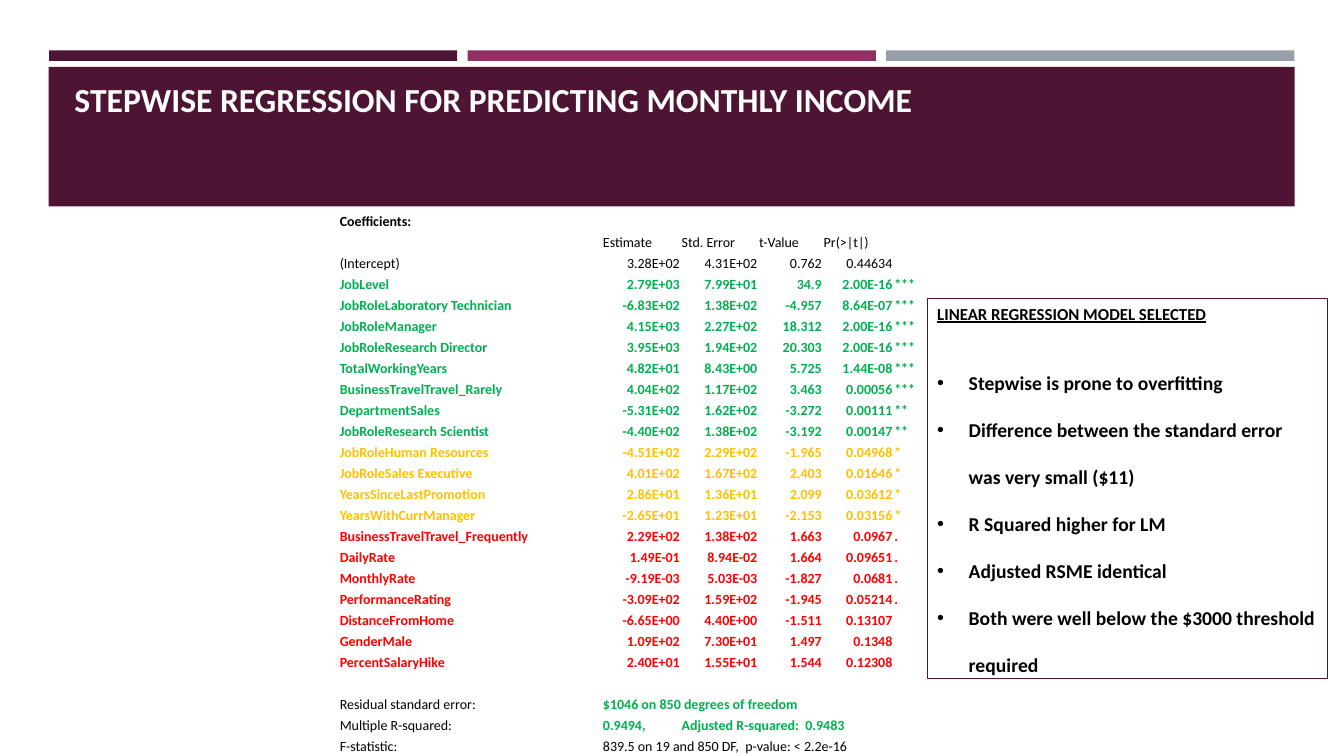
from lxml import etree
from pptx import Presentation
from pptx.dml.color import RGBColor
from pptx.enum import shapes, text
from pptx.oxml import ns
from pptx.util import Pt

FONT = "Calibri"
PLUM, BERRY, GREY = "4D1434", "903163", "969FA7"
BLACK, WHITE = "000000", "FFFFFF"
GREEN, AMBER, RED = "00B050", "FFC000", "FF0000"

HEADERS = ["", "Estimate", "Std. Error", "t-Value", "Pr(>|t|)"]
COLUMN_WIDTHS = [188, 56.2, 55.4, 46.1, 50.4, 24.4]
ROW_HEIGHT = 15.04

# Term, estimate, standard error, t-value, p-value, significance mark
INTERCEPT = ["(Intercept)", "3.28E+02", "4.31E+02", "0.762", "0.44634"]
STRONG = [
    ["JobLevel", "2.79E+03", "7.99E+01", "34.9", "2.00E-16", "***"],
    ["JobRoleLaboratory Technician", "-6.83E+02", "1.38E+02", "-4.957", "8.64E-07", "***"],
    ["JobRoleManager", "4.15E+03", "2.27E+02", "18.312", "2.00E-16", "***"],
    ["JobRoleResearch Director", "3.95E+03", "1.94E+02", "20.303", "2.00E-16", "***"],
    ["TotalWorkingYears", "4.82E+01", "8.43E+00", "5.725", "1.44E-08", "***"],
    ["BusinessTravelTravel_Rarely", "4.04E+02", "1.17E+02", "3.463", "0.00056", "***"],
    ["DepartmentSales", "-5.31E+02", "1.62E+02", "-3.272", "0.00111", "**"],
    ["JobRoleResearch Scientist", "-4.40E+02", "1.38E+02", "-3.192", "0.00147", "**"],
]
MODERATE = [
    ["JobRoleHuman Resources", "-4.51E+02", "2.29E+02", "-1.965", "0.04968", "*"],
    ["JobRoleSales Executive", "4.01E+02", "1.67E+02", "2.403", "0.01646", "*"],
    ["YearsSinceLastPromotion", "2.86E+01", "1.36E+01", "2.099", "0.03612", "*"],
    ["YearsWithCurrManager", "-2.65E+01", "1.23E+01", "-2.153", "0.03156", "*"],
]
WEAK = [
    ["BusinessTravelTravel_Frequently", "2.29E+02", "1.38E+02", "1.663", "0.0967", "."],
    ["DailyRate", "1.49E-01", "8.94E-02", "1.664", "0.09651", "."],
    ["MonthlyRate", "-9.19E-03", "5.03E-03", "-1.827", "0.0681", "."],
    ["PerformanceRating", "-3.09E+02", "1.59E+02", "-1.945", "0.05214", "."],
    ["DistanceFromHome", "-6.65E+00", "4.40E+00", "-1.511", "0.13107"],
    ["GenderMale", "1.09E+02", "7.30E+01", "1.497", "0.1348"],
    ["PercentSalaryHike", "2.40E+01", "1.55E+01", "1.544", "0.12308"],
]
# Label, then (text, first column, last column) for each value
FIT_STATISTICS = [
    ("Residual standard error:", GREEN, [("$1046 on 850 degrees of freedom", 1, 4)]),
    ("Multiple R-squared:", GREEN,
     [("0.9494,", 1, 1), ("Adjusted R-squared:  0.9483", 2, 5)]),
    ("F-statistic:", BLACK, [("839.5 on 19 and 850 DF,  p-value: < 2.2e-16", 1, 5)]),
]
REASONS = [
    "Stepwise is prone to overfitting",
    "Difference between the standard error was very small ($11)",
    "R Squared higher for LM",
    "Adjusted RSME identical",
    "Both were well below the $3000 threshold required",
]


def rgb(hex_colour):
    return RGBColor.from_string(hex_colour)


def write(p, content, size=10, colour=BLACK, bold=False, underline=False, align="LEFT"):
    p.alignment = getattr(text.PP_ALIGN, align)
    r = p.add_run()
    r.text = content
    r.font.name, r.font.size = FONT, Pt(size)
    r.font.bold, r.font.underline = bold, underline
    r.font.color.rgb = rgb(colour)


def add_box(slide, left, top, width, height, fill=None, line=None):
    sp = slide.shapes.add_shape(shapes.MSO_SHAPE.RECTANGLE,
                                Pt(left), Pt(top), Pt(width), Pt(height))
    sp.shadow.inherit = False
    if fill:
        sp.fill.solid()
        sp.fill.fore_color.rgb = rgb(fill)
    else:
        sp.fill.background()
    if line:
        sp.line.color.rgb = rgb(line)
        sp.line.width = Pt(0.75)
    else:
        sp.line.fill.background()
    return sp


def add_bullet(p, indent):
    pPr = p._p.get_or_add_pPr()
    pPr.set("marL", str(Pt(indent)))
    pPr.set("indent", str(-Pt(indent)))
    etree.SubElement(pPr, ns.qn("a:buFont"), typeface="Arial")
    etree.SubElement(pPr, ns.qn("a:buChar"), char="•")


def set_title(slide, content):
    title = slide.shapes.title
    title.left, title.top, title.width, title.height = Pt(46), Pt(10.8), Pt(868), Pt(77.8)
    tf = title.text_frame
    tf.vertical_anchor = text.MSO_ANCHOR.BOTTOM
    tf.auto_size = text.MSO_AUTO_SIZE.NONE
    write(tf.paragraphs[0], content, size=24, colour=WHITE, bold=True)
    slide.shapes._spTree.append(title._element)  # bring in front of the band


def clear_cell(cell):
    cell.fill.background()
    cell.vertical_anchor = text.MSO_ANCHOR.BOTTOM
    cell.margin_left = cell.margin_right = cell.margin_top = Pt(0.72)
    cell.margin_bottom = 0
    # Small end mark keeps empty cells from stretching their row
    etree.SubElement(cell.text_frame.paragraphs[0]._p, ns.qn("a:endParaRPr"), sz="1000")


def add_coefficients(slide):
    groups = [([INTERCEPT], BLACK), (STRONG, GREEN), (MODERATE, AMBER), (WEAK, RED)]
    terms = [(row, colour) for rows, colour in groups for row in rows]
    fit_top = len(terms) + 3
    count = fit_top + len(FIT_STATISTICS)
    table = slide.shapes.add_table(count, len(COLUMN_WIDTHS), Pt(242), Pt(149.2),
                                   Pt(sum(COLUMN_WIDTHS)), Pt(ROW_HEIGHT * count)).table
    table.first_row = table.horz_banding = False
    for column, width in zip(table.columns, COLUMN_WIDTHS):
        column.width = Pt(width)
    for row in table.rows:
        row.height = Pt(ROW_HEIGHT)
    for cell in table.iter_cells():
        clear_cell(cell)

    def put(row, col, content, **style):
        write(table.cell(row, col).text_frame.paragraphs[0], content, **style)

    # Headings
    put(0, 0, "Coefficients:", bold=True)
    for col, header in enumerate(HEADERS[1:], 1):
        put(1, col, header)

    # Terms
    for i, (values, colour) in enumerate(terms, 2):
        for col, value in enumerate(values):
            put(i, col, value, colour=colour, bold=colour != BLACK,
                align="RIGHT" if 1 <= col <= 4 else "LEFT")

    # Fit statistics
    for i, (label, colour, values) in enumerate(FIT_STATISTICS, fit_top):
        put(i, 0, label)
        for value, first, last in values:
            if last > first:
                table.cell(i, first).merge(table.cell(i, last))
            put(i, first, value, colour=colour, bold=colour != BLACK)


def add_conclusion(slide):
    tf = add_box(slide, 662.4, 213.1, 285.9, 271.4, line=PLUM).text_frame
    tf.word_wrap = True
    tf.vertical_anchor = text.MSO_ANCHOR.TOP
    heading = tf.paragraphs[0]
    heading.space_after = Pt(17)
    write(heading, "LINEAR REGRESSION MODEL SELECTED", size=12, bold=True, underline=True)
    for reason in REASONS:
        p = tf.add_paragraph()
        p.line_spacing = 2.0
        add_bullet(p, 22.5)
        write(p, reason, size=14, bold=True)


def main():
    prs = Presentation()
    prs.slide_width, prs.slide_height = Pt(960), Pt(540)
    slide = prs.slides.add_slide(prs.slide_layouts[5])

    # Colour strips and title band
    for i, colour in enumerate([PLUM, BERRY, GREY]):
        add_box(slide, 35 + 299 * i, 36, 291.6, 7.5, fill=colour)
    add_box(slide, 34.8, 47.8, 889.9, 99.6, fill=PLUM)
    set_title(slide, "STEPWISE REGRESSION FOR PREDICTING MONTHLY INCOME")

    # Regression output and conclusion
    add_coefficients(slide)
    add_conclusion(slide)
    prs.save("out.pptx")


if __name__ == "__main__":
    main()
